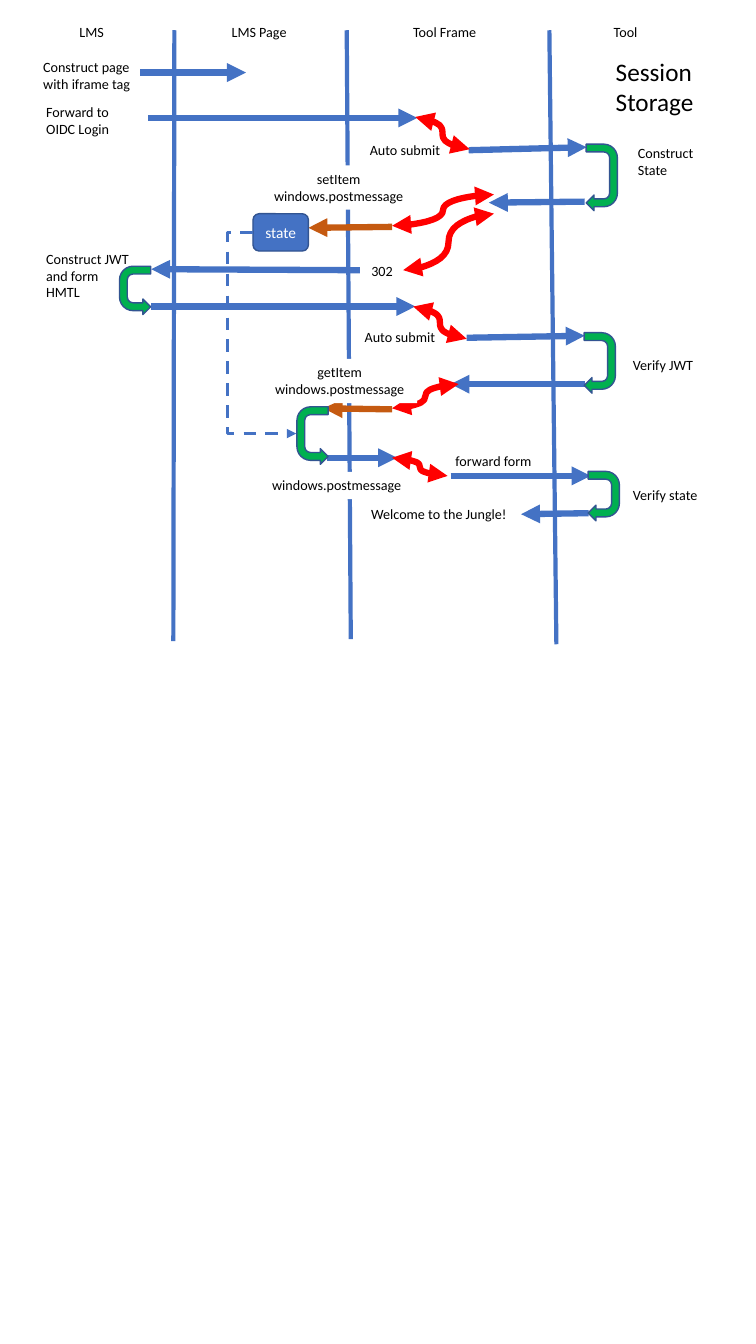
import pptx
import pptx.util
import pptx.dml.color
import pptx.enum.dml
import pptx.enum.shapes
import pptx.enum.text
import pptx.oxml
import pptx.oxml.ns

Inches, Pt = pptx.util.Inches, pptx.util.Pt
RGB = pptx.dml.color.RGBColor.from_string
SHAPE = pptx.enum.shapes.MSO_SHAPE
CONNECTOR = pptx.enum.shapes.MSO_CONNECTOR
ALIGN = pptx.enum.text.PP_ALIGN
ANCHOR = pptx.enum.text.MSO_ANCHOR
DASH = pptx.enum.dml.MSO_LINE.DASH
FIT = pptx.enum.text.MSO_AUTO_SIZE.SHAPE_TO_FIT_TEXT

COLORS = {"blue": "4472C4", "outline": "325491", "orange": "C55A11",
          "red": "FF0000", "green": "00B050", "black": "000000", "white": "FFFFFF"}
FONT = {"name": "Calibri", "size": Pt(10.1)}


# Shared parts; positions are inches from the top left of a box
def place(box, x, y, *size):
    return [Inches(v) for v in (box[0] + x, box[1] + y, *size)]


def write(sp, text, color="black", align=ALIGN.LEFT, **changes):
    tf = sp.text_frame
    tf.text = text
    for p in tf.paragraphs:
        p.alignment = align
        for r in p.runs:
            for key, value in {**FONT, **changes}.items():
                setattr(r.font, key, value)
            r.font.color.rgb = RGB(COLORS[color])
    return tf


def label(s, box, text, x, y, w, h=0.27, wrap=True, **style):
    sp = s.shapes.add_textbox(*place(box, x, y, w, h))
    tf = write(sp, text, **style)
    tf.word_wrap, tf.auto_size = wrap, FIT


def shape(s, box, kind, x, y, w, h, fill, line=None):
    sp = s.shapes.add_shape(kind, *place(box, x, y, w, h))
    sp.shadow.inherit = False
    sp.fill.solid()
    sp.fill.fore_color.rgb = RGB(COLORS[fill])
    if line:
        sp.line.color.rgb = RGB(COLORS[line])
        sp.line.width = Pt(1)
    else:
        sp.line.fill.background()
    return sp


def message_box(s, box, text, x, y, h=0.44, align=ALIGN.CENTER):
    sp = shape(s, box, SHAPE.RECTANGLE, x, y, 1.54, h, "white")
    tf = write(sp, text, align=align)
    tf.word_wrap, tf.vertical_anchor = True, ANCHOR.TOP


def connect(s, box, x1, y1, x2, y2, color="blue", width=4.5,
            kind=CONNECTOR.STRAIGHT, ends=("tailEnd",), dash=None):
    c = s.shapes.add_connector(kind, *place(box, x1, y1), *place(box, x2, y2))
    c.line.color.rgb = RGB(COLORS[color])
    c.line.width = Pt(width)
    if dash:
        c.line.dash_style = dash
    props = c._element.spPr
    for end in ends:
        tag = pptx.oxml.ns.qn("a:" + end)
        props.ln.append(props.ln.makeelement(tag, {"type": "triangle"}))
    props.append(props.makeelement(pptx.oxml.ns.qn("a:effectLst"), {}))
    return c


def handoff(s, box, x1, y1, x2, y2):
    connect(s, box, x1, y1, x2, y2, "red", kind=CONNECTOR.CURVE,
            ends=("headEnd", "tailEnd"))


def self_call(s, box, cx, cy, length, opens_left=True):
    depth = 0.31
    sp = shape(s, box, SHAPE.U_TURN_ARROW, cx - length / 2, cy - depth / 2,
               length, depth, "green", "outline")
    sp.adjustments[4] = 1
    sp.rotation = 90 if opens_left else 270
    if not opens_left:
        sp._element.spPr.xfrm.set("flipH", "1")


# Swimlanes with their headings and the title
def lanes(s, box):
    for top_x, bottom_x, bottom_y in ((1.43, 1.42, 6.18), (3.14, 3.18, 6.16),
                                      (5.15, 5.22, 6.21)):
        connect(s, box, top_x, 0.12, bottom_x, bottom_y, width=3, ends=())
    for text, x, w in (("LMS", 0.39, 0.45), ("LMS Page", 1.9, 0.76),
                       ("Tool Frame", 3.7, 0.85), ("Tool", 5.69, 0.45)):
        label(s, box, text, x, 0, w, wrap=False)
    label(s, box, "Session\nStorage", 5.71, 0.33, 0.98, 0.71, wrap=False, size=Pt(18))


# Login request and storing of the state
def login(s, box):
    label(s, box, "Construct page with iframe tag", 0.03, 0.03, 1.09, 0.44)
    label(s, box, "Forward to OIDC Login", 0.06, 0.48, 1.09, 0.44)
    label(s, box, "Auto submit", 3.27, 0.85, 1.08)
    label(s, box, "Construct State", 5.93, 0.88, 0.98, 0.44)
    for ends in ((1.09, 0.22, 2.14, 0.22), (1.17, 0.67, 3.84, 0.67),
                 (4.35, 0.99, 5.52, 0.96), (5.5, 1.5, 4.55, 1.51)):
        connect(s, box, *ends)
    connect(s, box, 3.59, 1.75, 2.76, 1.76, "orange")
    handoff(s, box, 3.59, 1.74, 4.6, 1.43)
    handoff(s, box, 3.82, 0.66, 4.36, 0.98)
    self_call(s, box, 5.67, 1.26, 0.66)
    message_box(s, box, "setItem windows.postmessage", 2.29, 1.14)
    state = shape(s, box, SHAPE.ROUNDED_RECTANGLE, 2.21, 1.62, 0.55, 0.37,
                  "blue", "outline")
    tf = write(state, "state", "white", ALIGN.CENTER, size=Pt(11))
    tf.vertical_anchor = ANCHOR.MIDDLE


# Redirect to the LMS and check of the JWT
def launch(s, box):
    label(s, box, "Construct JWT and form HMTL", 0.06, 0.33, 1.06, 0.61)
    label(s, box, "Auto submit", 3.22, 1.11, 1.1)
    label(s, box, "Verify JWT", 5.88, 1.39, 1.03)
    label(s, box, "302", 3.27, 0.45, 0.44, align=ALIGN.CENTER)
    for ends in ((3.27, 0.58, 1.2, 0.57), (1.2, 0.94, 3.82, 0.94),
                 (4.33, 1.25, 5.5, 1.23), (5.5, 1.71, 4.17, 1.71)):
        connect(s, box, *ends)
    handoff(s, box, 3.8, 0.94, 4.33, 1.26)
    handoff(s, box, 3.7, 0.58, 4.6, 0.02)
    self_call(s, box, 1.04, 0.78, 0.48, opens_left=False)
    self_call(s, box, 5.65, 1.5, 0.6)


# Reading back and check of the state
def verify(s, box):
    label(s, box, "forward form", 4.12, 0.94, 1.08)
    label(s, box, "Verify state", 5.88, 1.28, 1.18)
    label(s, box, "Welcome to the Jungle!", 3.24, 1.46, 1.63, align=ALIGN.CENTER)
    connect(s, box, 3.59, 0.56, 2.91, 0.55, "orange")
    for ends in ((2.94, 1.04, 3.64, 1.04), (4.17, 1.22, 5.56, 1.22),
                 (5.54, 1.59, 4.87, 1.6)):
        connect(s, box, *ends)
    handoff(s, box, 3.59, 0.55, 4.25, 0.31)
    handoff(s, box, 3.59, 1.04, 4.14, 1.22)
    message_box(s, box, "getItem\nwindows.postmessage", 2.3, 0.06)
    message_box(s, box, "windows.postmessage", 2.24, 1.18, 0.27, ALIGN.RIGHT)
    self_call(s, box, 2.8, 0.82, 0.57, opens_left=False)
    self_call(s, box, 5.69, 1.42, 0.49)


# Dashed link from the stored state to its reading
def state_link(s, box):
    c = connect(s, box, 0, 0, box[2], box[3], width=2.25,
                kind=CONNECTOR.ELBOW, dash=DASH)
    guides = c._element.spPr.prstGeom.get_or_add_avLst()
    guides.append(guides.makeelement(pptx.oxml.ns.qn("a:gd"),
                                     {"name": "adj1", "fmla": "val -58000"}))


prs = pptx.Presentation()
prs.slide_width, prs.slide_height = Inches(7.5), Inches(13.33)
s = prs.slides.add_slide(prs.slide_layouts[6])
lanes(s, (0.3, 0.18, 7.06, 6.21))
login(s, (0.3, 0.5, 7.06, 2))
launch(s, (0.3, 2.1, 7.06, 1.8))
verify(s, (0.3, 3.5, 7.06, 1.75))
state_link(s, (2.51, 2.31, 0.43, 1.99))
prs.save("out.pptx")
